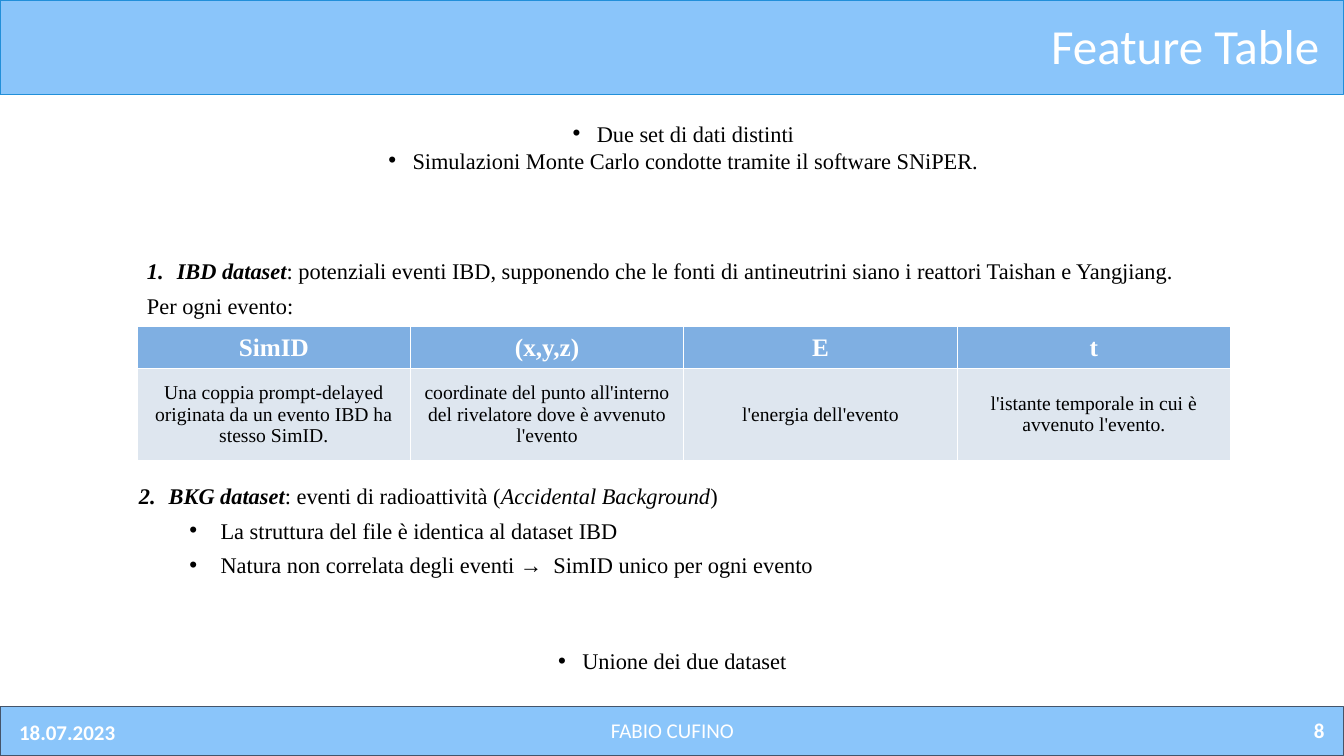
from lxml import etree
from pptx import Presentation
from pptx.dml.color import RGBColor
from pptx.enum.shapes import MSO_SHAPE
from pptx.enum.text import MSO_ANCHOR, PP_ALIGN
from pptx.oxml.ns import qn
from pptx.util import Pt

RECT = MSO_SHAPE.RECTANGLE
LEFT, CENTER, RIGHT = PP_ALIGN.LEFT, PP_ALIGN.CENTER, PP_ALIGN.RIGHT
MIDDLE = MSO_ANCHOR.MIDDLE
SERIF, SANS = "Times New Roman", "Calibri"
BLACK, WHITE, SKY = "000000", "FFFFFF", "8AC5FA"
WIDTH, HEIGHT = 960, 540
FEATURES = [
    ("SimID", "Una coppia prompt-delayed originata da un evento IBD ha stesso SimID."),
    ("(x,y,z)", "coordinate del punto all'interno del rivelatore dove è avvenuto l'evento"),
    ("E", "l'energia dell'evento"),
    ("t", "l'istante temporale in cui è avvenuto l'evento."),
]


def rgb(color):
    """Turn a hex string into a colour."""
    return RGBColor.from_string(color)


def add_run(p, text, size=16, font=SERIF, color=BLACK, bold=False, italic=False):
    """Add one styled run to a paragraph."""
    r = p.add_run()
    r.text = text
    r.font.size, r.font.name = Pt(size), font
    r.font.color.rgb = rgb(color)
    r.font.bold, r.font.italic = bold, italic


def add_marker(p, margin=17.3, hang=17.3, number=None):
    """Give a paragraph a hanging bullet, or a number if one is given."""
    pPr = p._p.get_or_add_pPr()
    pPr.set("marL", str(Pt(margin)))
    pPr.set("indent", str(-Pt(hang)))
    clr = etree.SubElement(pPr, qn("a:buClr"))
    etree.SubElement(clr, qn("a:srgbClr"), val=BLACK)
    if number:
        etree.SubElement(pPr, qn("a:buFont"), typeface=SERIF)
        etree.SubElement(pPr, qn("a:buAutoNum"), type="arabicPeriod", startAt=str(number))
    else:
        etree.SubElement(pPr, qn("a:buFont"), typeface="Arial")
        etree.SubElement(pPr, qn("a:buChar"), char="•")


def add_box(s, x, y, w, h, pad=(7.2, 3.6)):
    """Add an empty wrapping text box and return its text frame."""
    tf = s.shapes.add_textbox(Pt(x), Pt(y), Pt(w), Pt(h)).text_frame
    tf.word_wrap = True
    tf.margin_left = tf.margin_right = Pt(pad[0])
    tf.margin_top = tf.margin_bottom = Pt(pad[1])
    return tf


def add_paragraph(tf, first, align=LEFT, after=0):
    """Return the first or a new paragraph of a text frame."""
    p = tf.paragraphs[0] if first else tf.add_paragraph()
    p.alignment = align
    p.space_after = Pt(after)
    return p


def add_band(s, y, h, line):
    """Draw a full-width band."""
    sp = s.shapes.add_shape(RECT, 0, Pt(y), Pt(WIDTH), Pt(h))
    sp.shadow.inherit = False
    sp.fill.solid()
    sp.fill.fore_color.rgb = rgb(SKY)
    sp.line.color.rgb = rgb(line)
    sp.line.width = Pt(0)


def add_header(s, y, h):
    """Draw the title band."""
    add_band(s, y, h, "218FD9")
    p = add_paragraph(add_box(s, 399.6, y + 7.2, 550, 51), True, RIGHT)
    add_run(p, "Feature Table", 35, SANS, WHITE)


def add_footer(s, y, h):
    """Draw the footer band with date, author and page number."""
    add_band(s, y, h, "44546A")
    for x, dy, text, align, bold in (
        (5, 5, "18.07.2023", LEFT, True),
        (405, 3.6, "FABIO CUFINO", CENTER, False),
        (804.2, 3.6, "8", RIGHT, True),
    ):
        p = add_paragraph(add_box(s, x, y + dy, 150.5, 26.6, (8.6, 4.3)), True, align)
        add_run(p, text, 15, SANS, WHITE, bold)


def add_bullets(s, x, y, w, h, lines):
    """Write centred bullet lines."""
    tf = add_box(s, x, y, w, h)
    for i, text in enumerate(lines):
        p = add_paragraph(tf, i == 0, CENTER)
        add_marker(p)
        add_run(p, text)


def add_dataset(s, x, y, w, h, number, runs, details=()):
    """Write a numbered dataset heading with its detail bullets."""
    tf = add_box(s, x, y, w, h)
    p = add_paragraph(tf, True, after=5.7)
    add_marker(p, number=number)
    for text, bold, italic in runs:
        add_run(p, text, bold=bold, italic=italic)
    for text in details:
        p = add_paragraph(tf, False, after=5.7)
        p.level = 1
        add_marker(p, 58.3, 22.3)
        add_run(p, text)


def fill_cell(cell, text, size, color, bold, fill, spacing):
    """Write and style one table cell with thin white borders."""
    cell.vertical_anchor = MIDDLE
    cell.margin_left = cell.margin_right = Pt(2.9)
    cell.margin_top = cell.margin_bottom = Pt(3.6)
    p = add_paragraph(cell.text_frame, True, CENTER, spacing)
    p.space_before = Pt(spacing)
    add_run(p, text, size, color=color, bold=bold)
    tcPr = cell._tc.get_or_add_tcPr()
    for side in "LRTB":
        ln = etree.SubElement(tcPr, qn(f"a:ln{side}"), w=str(Pt(0.57)))
        solid = etree.SubElement(ln, qn("a:solidFill"))
        etree.SubElement(solid, qn("a:srgbClr"), val=WHITE)
    cell.fill.solid()
    cell.fill.fore_color.rgb = rgb(fill)


def add_features(s, x, y, w, h):
    """Draw the table of event features."""
    table = s.shapes.add_table(2, len(FEATURES), Pt(x), Pt(y), Pt(w), Pt(h)).table
    table.horz_banding = False
    table.rows[0].height, table.rows[1].height = Pt(30), Pt(h - 30)
    for i, (name, meaning) in enumerate(FEATURES):
        table.columns[i].width = Pt(w / len(FEATURES))
        fill_cell(table.cell(0, i), name, 18, WHITE, True, "7FAFE2", 2.8)
        fill_cell(table.cell(1, i), meaning, 14, BLACK, False, "DEE6EF", 0 if i else 2.8)


def main():
    """Build and save the slide."""
    prs = Presentation()
    prs.slide_width, prs.slide_height = Pt(WIDTH), Pt(HEIGHT)
    s = prs.slides.add_slide(prs.slide_layouts[6])
    add_footer(s, 504.7, 35.3)
    add_header(s, 0, 67.2)
    add_bullets(s, 104.4, 82.1, 767.5, 46.8, [
        "Due set di dati distinti",
        "Simulazioni Monte Carlo condotte tramite il software SNiPER.",
    ])
    add_dataset(s, 97.9, 180, 781.2, 26.6, 1, [
        (" IBD dataset", True, True),
        (": potenziali eventi IBD, supponendo che le fonti di antineutrini "
         "siano i reattori Taishan e Yangjiang.", False, False),
    ])
    add_run(add_paragraph(add_box(s, 97.9, 205.2, 119.5, 26.6), True), "Per ogni evento:")
    add_features(s, 97.9, 233.3, 781.2, 95.6)
    add_dataset(s, 92.2, 340.6, 787.7, 81.4, 2, [
        (" BKG dataset", True, True),
        (": eventi di radioattività (", False, False),
        ("Accidental Background", False, True),
        (")", False, False),
    ], [
        "La struttura del file è identica al dataset IBD",
        "Natura non correlata degli eventi →  SimID unico per ogni evento",
    ])
    add_bullets(s, 96.5, 458.6, 767.5, 26.6, ["Unione dei due dataset"])
    prs.save("out.pptx")


if __name__ == "__main__":
    main()
